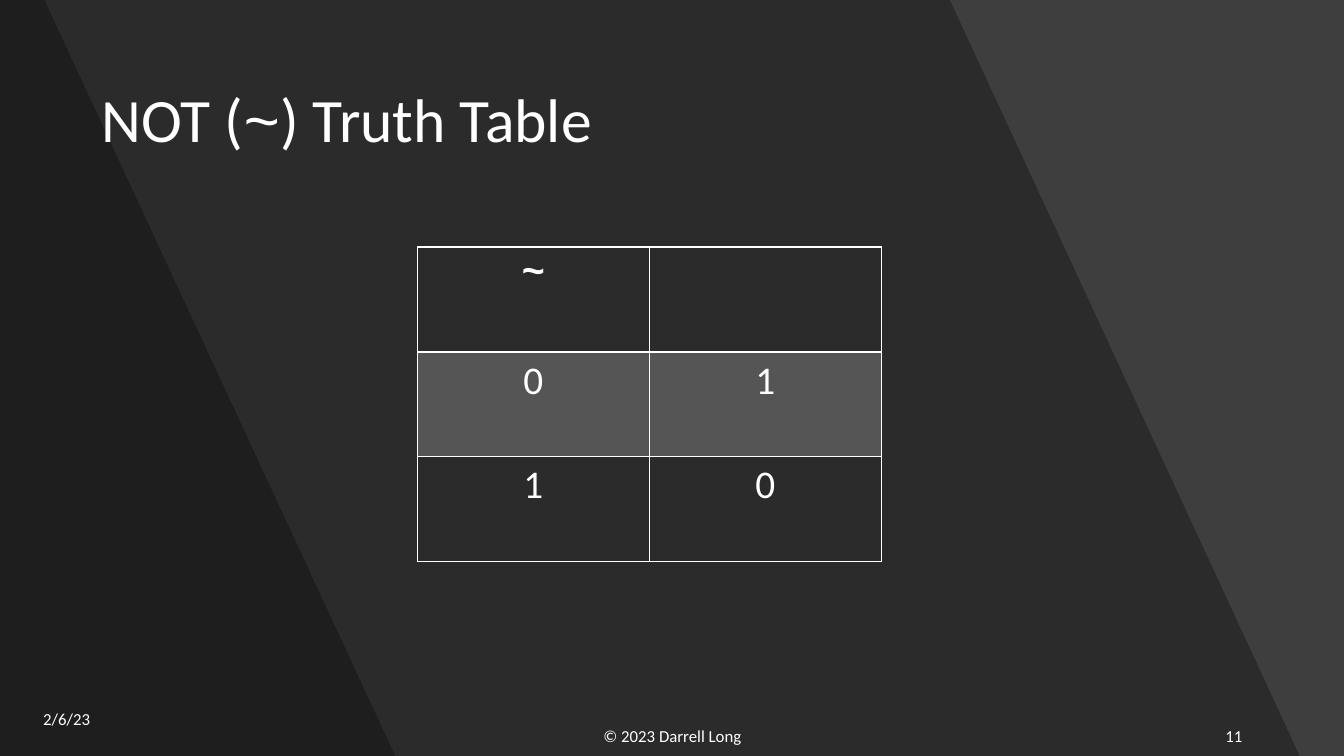
from typing import NamedTuple

from lxml import etree
from pptx import Presentation
from pptx.dml.color import RGBColor
from pptx.enum.shapes import MSO_SHAPE
from pptx.enum.text import MSO_ANCHOR, PP_ALIGN
from pptx.oxml.ns import qn
from pptx.util import Inches, Pt

LEFT, CENTER, RIGHT = PP_ALIGN.LEFT, PP_ALIGN.CENTER, PP_ALIGN.RIGHT
MIDDLE = MSO_ANCHOR.MIDDLE
RECTANGLE = MSO_SHAPE.RECTANGLE

WHITE = RGBColor(0xFF, 0xFF, 0xFF)
BLACK = RGBColor(0x00, 0x00, 0x00)
BACKGROUND = RGBColor(0x45, 0x45, 0x45)

SANS, MONO = "Calibri", "Courier New"
WIDTH, HEIGHT = 13.33, 7.5


class Band(NamedTuple):
    """Shaded area from the left slide edge to a slanted right edge."""
    top_right: float
    bottom_right: float


class Label(NamedTuple):
    left: float
    top: float
    width: float
    height: float
    size: int
    align: PP_ALIGN
    runs: list[tuple[str, str]]


BANDS = [Band(9.42, 12.89), Band(0.44, 3.92)]

LABELS = [
    Label(0.91, 0.49, 11.51, 1.45, 44, LEFT,
          [("NOT (", SANS), ("~", MONO), (") Truth Table", SANS)]),
    Label(4.42, 7.1, 4.5, 0.4, 12, CENTER, [("© 2023 Darrell Long", SANS)]),
    Label(9.42, 7.1, 3, 0.4, 12, RIGHT, [("11", SANS)]),
    Label(0.33, 6.93, 1.46, 0.4, 12, LEFT, [("2/6/23", SANS)]),
]

TRUTH_TABLE = [["~", ""], ["0", "1"], ["1", "0"]]
COL_WIDTH, ROW_HEIGHT = 2.3, 1.04


def set_fill(fill, properties, color: RGBColor, opacity: int) -> None:
    """Fill with a colour; opacity is a percentage."""
    fill.solid()
    fill.fore_color.rgb = color
    clr = properties.find(qn("a:solidFill")).find(qn("a:srgbClr"))
    etree.SubElement(clr, qn("a:alpha"), val=str(opacity * 1000))


def shade(shape, opacity: int) -> None:
    shape.shadow.inherit = False
    set_fill(shape.fill, shape._element.spPr, BLACK, opacity)
    shape.line.fill.background()


def add_band(s, band: Band) -> None:
    builder = s.shapes.build_freeform(0, 0)
    builder.add_line_segments([
        (Inches(band.top_right), 0),
        (Inches(band.bottom_right), Inches(HEIGHT)),
        (0, Inches(HEIGHT)),
    ], close=True)
    shade(builder.convert_to_shape(), 30)


def add_run(p, text: str, font: str, size: int, bold: bool = False) -> None:
    r = p.add_run()
    r.text = text
    r.font.name = font
    r.font.size = Pt(size)
    r.font.bold = bold
    r.font.color.rgb = WHITE


def add_label(s, label: Label) -> None:
    box = s.shapes.add_textbox(Inches(label.left), Inches(label.top),
                               Inches(label.width), Inches(label.height))
    tf = box.text_frame
    tf.word_wrap = True
    tf.vertical_anchor = MIDDLE
    p = tf.paragraphs[0]
    p.alignment = label.align
    p.line_spacing = 0.9 if label.size > 12 else 1.0
    for text, font in label.runs:
        add_run(p, text, font, label.size)


def set_borders(cell, top: int, bottom: int) -> None:
    """Draw white borders; widths are in points."""
    tc_pr = cell._tc.get_or_add_tcPr()
    for side, width in (("L", 1), ("R", 1), ("T", top), ("B", bottom)):
        ln = etree.SubElement(tc_pr, qn(f"a:ln{side}"), w=str(Pt(width)))
        fill = etree.SubElement(ln, qn("a:solidFill"))
        etree.SubElement(fill, qn("a:srgbClr"), val=str(WHITE))


def add_truth_table(s) -> None:
    rows, cols = len(TRUTH_TABLE), len(TRUTH_TABLE[0])
    table = s.shapes.add_table(rows, cols, Inches(4.14), Inches(2.45),
                               Inches(COL_WIDTH * cols),
                               Inches(ROW_HEIGHT * rows)).table
    table.first_row = table.horz_banding = False
    for i, values in enumerate(TRUTH_TABLE):
        header = i == 0
        for j, value in enumerate(values):
            cell = table.cell(i, j)
            set_borders(cell, 2 if i == 1 else 1, 2 if header else 1)
            if i == 1:
                set_fill(cell.fill, cell._tc.tcPr, WHITE, 20)
            else:
                cell.fill.background()
            p = cell.text_frame.paragraphs[0]
            p.alignment = CENTER
            if value:
                add_run(p, value, MONO if header else SANS, 28, header)


def main() -> None:
    prs = Presentation()
    prs.slide_width, prs.slide_height = Inches(WIDTH), Inches(HEIGHT)
    s = prs.slides.add_slide(prs.slide_layouts[6])
    s.background.fill.solid()
    s.background.fill.fore_color.rgb = BACKGROUND

    shade(s.shapes.add_shape(RECTANGLE, 0, 0, prs.slide_width,
                             prs.slide_height), 9)
    for band in BANDS:
        add_band(s, band)
    for label in LABELS:
        add_label(s, label)
    add_truth_table(s)
    prs.save("out.pptx")


if __name__ == "__main__":
    main()
